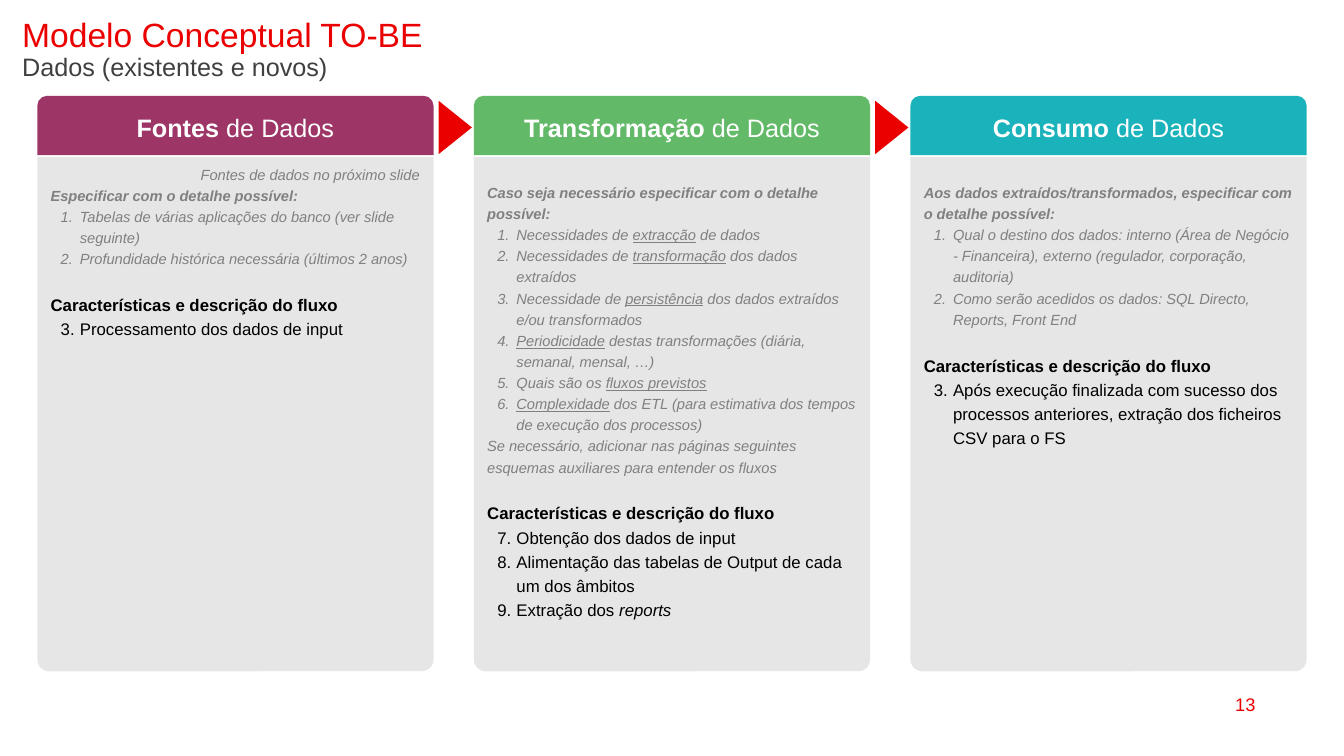
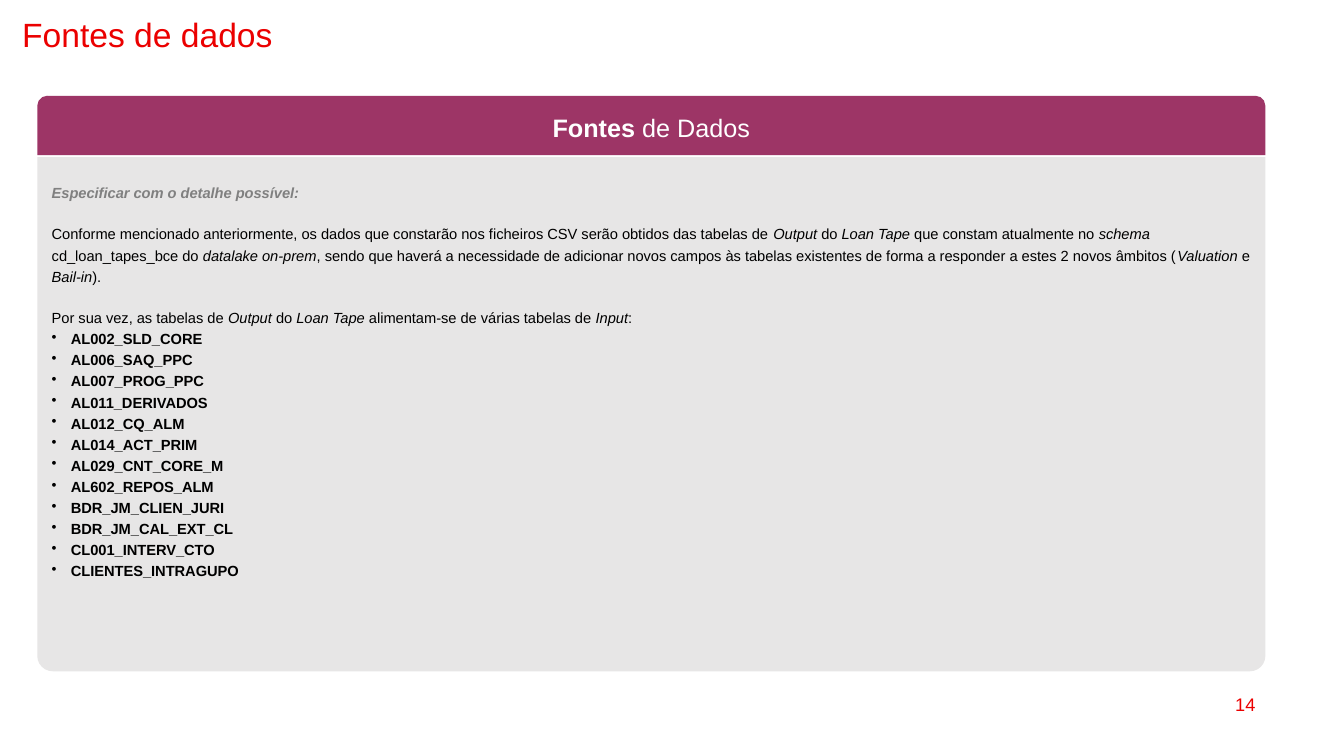
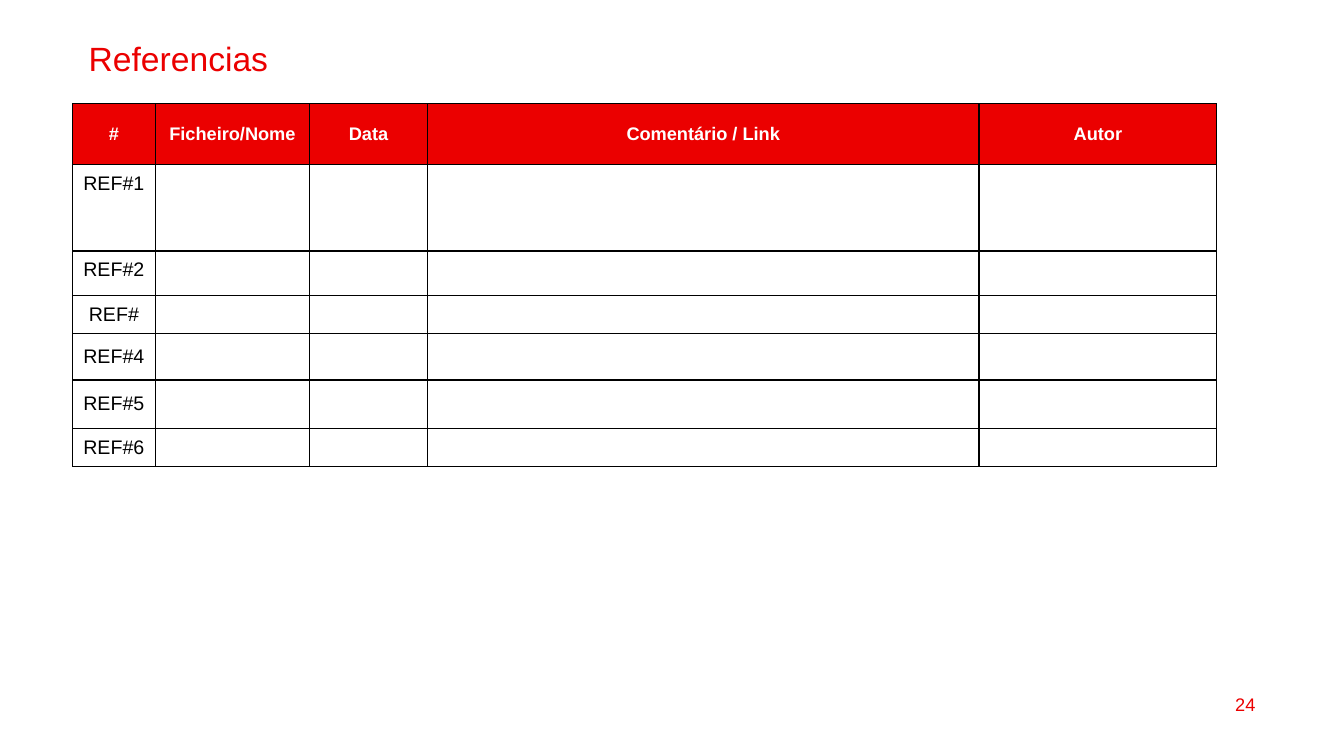
"""Builds three slides on data sources, data flow and references."""
from dataclasses import dataclass, field
from typing import Any, Optional, Sequence

from lxml import etree
from pptx import Presentation
from pptx.enum.shapes import MSO_SHAPE
from pptx.enum.text import MSO_ANCHOR, MSO_AUTO_SIZE, PP_ALIGN
from pptx.oxml.ns import qn
from pptx.util import Inches, Pt

from pptx.dml.color import RGBColor

PANEL_OUTLINE = MSO_SHAPE.ROUND_2_SAME_RECTANGLE
TRIANGLE = MSO_SHAPE.ISOSCELES_TRIANGLE
TOP, MIDDLE = MSO_ANCHOR.TOP, MSO_ANCHOR.MIDDLE
NO_AUTOFIT = MSO_AUTO_SIZE.NONE
LEFT, CENTER, RIGHT = PP_ALIGN.LEFT, PP_ALIGN.CENTER, PP_ALIGN.RIGHT

RED, BLACK, WHITE = "EB0000", "000000", "FFFFFF"
DARK_GREY, HINT_GREY, PANEL_GREY = "404040", "808080", "E7E6E6"
PLUM, GREEN, TEAL = "9D3566", "62B967", "1AB2BB"

TITLE_ONLY_LAYOUT = 5
PANEL_LEFT, HEADER_TOP, HEADER_HEIGHT = 0.37, 0.95, 0.59
BODY_TOP, BODY_HEIGHT = 1.56, 5.1
COLUMN_WIDTH, COLUMN_GAP, WIDE_WIDTH = 3.93, 0.4, 12.18
ARROW_BASE, ARROW_DEPTH = 0.53, 0.33
TOP_INSET, LOWERED_INSET = 0.05, 0.23
HANGING = 0.19
COLUMN_WIDTHS = (0.82, 1.53, 1.17, 5.47, 2.36)
TABLE_HEADINGS = ("#", "Ficheiro/Nome", "Data", "Comentário / Link", "Autor")


@dataclass(frozen=True)
class TextStyle:
    """Font values of plain text, and those that marked words change."""
    size: float
    color: str
    plain: dict[str, Any] = field(default_factory=dict)
    marked: dict[str, Any] = field(default_factory=dict)


@dataclass(frozen=True)
class ListMark:
    """A bullet or number with its indent."""
    indent: float
    tag: str
    values: dict[str, str]


@dataclass(frozen=True)
class Line:
    """A paragraph in which asterisks enclose marked words."""
    text: str
    style: TextStyle
    mark: Optional[ListMark] = None
    space_before: float = 0
    align: Any = LEFT


@dataclass(frozen=True)
class Panel:
    """A coloured heading above a grey body."""
    heading: str
    color: str
    lines: Sequence[Line]
    top_inset: float = LOWERED_INSET


@dataclass(frozen=True)
class TableRow:
    """The texts and layout of one table row."""
    texts: Sequence[str]
    height: float
    style: TextStyle
    anchor: Any = MIDDLE
    fill: str = ""


TITLE = TextStyle(24, RED)
SUBTITLE = TextStyle(18, DARK_GREY)
PAGE_NUMBER = TextStyle(13, RED)
HEADING = TextStyle(18, WHITE, {"bold": False}, {"bold": True})
HINT = TextStyle(10.5, HINT_GREY, {"italic": True}, {"underline": True})
HINT_LEAD = TextStyle(10.5, HINT_GREY, {"italic": True, "bold": True})
FLOW = TextStyle(12, BLACK, {}, {"italic": True})
FLOW_LEAD = TextStyle(12, BLACK, {"bold": True})
PROSE = TextStyle(10.5, BLACK, {}, {"italic": True})
TABLE_NAME = TextStyle(10.5, BLACK, {"bold": True})
COLUMN_NAME = TextStyle(13, WHITE, {"bold": True})
REFERENCE = TextStyle(14, BLACK, {"bold": False})
DOT = ListMark(HANGING, "a:buChar", {"char": "•"})


def numbered(texts: Sequence[str], style: TextStyle, start: int) -> list[Line]:
    """Return a numbered list that begins at start."""
    mark = ListMark(0.29, "a:buAutoNum", {"type": "arabicPeriod", "startAt": str(start)})
    return [Line(text, style, mark) for text in texts]


def flow(texts: Sequence[str], start: int) -> list[Line]:
    """Return the flow description that ends each column."""
    lead = Line("Características e descrição do fluxo", FLOW_LEAD, space_before=16.5)
    return [lead, *numbered(texts, FLOW, start)]


FLOW_PANELS = (
    Panel("*Fontes* de Dados", PLUM, [
        Line("Fontes de dados no próximo slide", HINT, align=RIGHT),
        Line("Especificar com o detalhe possível:", HINT_LEAD),
        *numbered([
            "Tabelas de várias aplicações do banco (ver slide seguinte)",
            "Profundidade histórica necessária (últimos 2 anos)",
        ], HINT, 1),
        *flow(["Processamento dos dados de input"], 3),
    ], TOP_INSET),
    Panel("*Transformação* de Dados", GREEN, [
        Line("Caso seja necessário especificar com o detalhe possível:", HINT_LEAD),
        *numbered([
            "Necessidades de *extracção* de dados",
            "Necessidades de *transformação* dos dados extraídos",
            "Necessidade de *persistência* dos dados extraídos e/ou transformados",
            "*Periodicidade* destas transformações (diária, semanal, mensal, …)",
            "Quais são os *fluxos previstos*",
            "*Complexidade* dos ETL (para estimativa dos tempos de execução dos processos)",
        ], HINT, 1),
        Line("Se necessário, adicionar nas páginas seguintes esquemas auxiliares "
             "para entender os fluxos", HINT),
        *flow([
            "Obtenção dos dados de input",
            "Alimentação das tabelas de Output de cada um dos âmbitos",
            "Extração dos *reports*",
        ], 7),
    ]),
    Panel("*Consumo* de Dados", TEAL, [
        Line("Aos dados extraídos/transformados, especificar com o detalhe possível:",
             HINT_LEAD),
        *numbered([
            "Qual o destino dos dados: interno (Área de Negócio - Financeira), "
            "externo (regulador, corporação, auditoria)",
            "Como serão acedidos os dados: SQL Directo, Reports, Front End",
        ], HINT, 1),
        *flow(["Após execução finalizada com sucesso dos processos anteriores, "
               "extração dos ficheiros CSV para o FS"], 3),
    ]),
)

INPUT_TABLES = (
    "AL002_SLD_CORE", "AL006_SAQ_PPC", "AL007_PROG_PPC", "AL011_DERIVADOS",
    "AL012_CQ_ALM", "AL014_ACT_PRIM", "AL029_CNT_CORE_M", "AL602_REPOS_ALM",
    "BDR_JM_CLIEN_JURI", "BDR_JM_CAL_EXT_CL", "CL001_INTERV_CTO", "CLIENTES_INTRAGUPO",
)

SOURCES_PANEL = Panel("*Fontes* de Dados", PLUM, [
    Line("Especificar com o detalhe possível:", HINT_LEAD),
    Line("Conforme mencionado anteriormente, os dados que constarão nos ficheiros CSV "
         "serão obtidos das tabelas de *Output* do *Loan Tape* que constam atualmente no "
         "*schema* cd_loan_tapes_bce do *datalake on-prem*, sendo que haverá a necessidade "
         "de adicionar novos campos às tabelas existentes de forma a responder a estes "
         "2 novos âmbitos (*Valuation* e *Bail-in*).", PROSE, space_before=14.5),
    Line("Por sua vez, as tabelas de *Output* do *Loan Tape* alimentam-se de várias "
         "tabelas de *Input*:", PROSE, space_before=14.5),
    *[Line(name, TABLE_NAME, DOT) for name in INPUT_TABLES],
])

REFERENCE_ROWS = (
    TableRow(TABLE_HEADINGS, 0.6, COLUMN_NAME, fill=RED),
    TableRow(("REF#1",), 0.86, REFERENCE, TOP),
    TableRow(("REF#2",), 0.44, REFERENCE, TOP),
    TableRow(("REF#",), 0.38, REFERENCE, TOP),
    TableRow(("REF#4",), 0.46, REFERENCE),
    TableRow(("REF#5",), 0.48, REFERENCE),
    TableRow(("REF#6",), 0.38, REFERENCE),
)


def tint(color_format: Any, color: str) -> None:
    """Give a font or fill colour its hex value."""
    color_format.rgb = RGBColor.from_string(color)


def set_all(target: Any, values: dict[str, Any]) -> None:
    """Set each named attribute of the target."""
    for name, value in values.items():
        setattr(target, name, value)


def box(left: float, top: float, width: float, height: float) -> tuple:
    """Return a position and size in inches."""
    return Inches(left), Inches(top), Inches(width), Inches(height)


def write(paragraph: Any, text: str, style: TextStyle) -> None:
    """Add text whose asterisks enclose marked words."""
    for position, piece in enumerate(text.split("*")):
        if piece:
            run = paragraph.add_run()
            run.text = piece
            values = {"name": "Arial", "size": Pt(style.size), **style.plain}
            if position % 2:
                values.update(style.marked)
            set_all(run.font, values)
            tint(run.font.color, style.color)


def write_lines(frame: Any, lines: Sequence[Line]) -> None:
    """Fill a frame with spaced paragraphs and list marks."""
    for position, line in enumerate(lines):
        paragraph = frame.add_paragraph() if position else frame.paragraphs[0]
        set_all(paragraph, {"alignment": line.align, "line_spacing": 1.2,
                            "space_before": Pt(line.space_before)})
        if line.mark:
            properties = paragraph._p.get_or_add_pPr()
            properties.set("marL", str(Inches(line.mark.indent)))
            properties.set("indent", str(-Inches(HANGING)))
            etree.SubElement(properties, qn(line.mark.tag), line.mark.values)
        write(paragraph, line.text, line.style)


def add_filled(slide: Any, outline: Any, place: tuple, color: str) -> Any:
    """Add a flat shape without a line."""
    shape = slide.shapes.add_shape(outline, *place)
    shape.shadow.inherit = False
    shape.fill.solid()
    tint(shape.fill.fore_color, color)
    shape.line.fill.background()
    return shape


def add_panel(slide: Any, panel: Panel, left: float, width: float) -> None:
    """Draw a panel's body and heading."""
    body = add_filled(slide, PANEL_OUTLINE, box(left, BODY_TOP, width, BODY_HEIGHT), PANEL_GREY)
    body.adjustments[0] = 0
    body.adjustments[1] = 0.03
    set_all(body.text_frame, {"word_wrap": True, "vertical_anchor": TOP,
                              "margin_top": Inches(panel.top_inset)})
    write_lines(body.text_frame, panel.lines)
    header = add_filled(slide, PANEL_OUTLINE, box(left, HEADER_TOP, width, HEADER_HEIGHT),
                        panel.color)
    set_all(header.text_frame, {"word_wrap": True, "vertical_anchor": MIDDLE})
    heading = header.text_frame.paragraphs[0]
    heading.alignment = CENTER
    write(heading, panel.heading, HEADING)


def add_arrow(slide: Any, column_right: float) -> None:
    """Point from one column heading to the next."""
    arrow = add_filled(slide, TRIANGLE,
                       box(column_right - 0.05, 1.1, ARROW_BASE, ARROW_DEPTH), RED)
    arrow.rotation = 90


def add_page(deck: Any, title: str, number: int, place: tuple, subtitle: str = "") -> Any:
    """Add a slide with its title and page number."""
    slide = deck.slides.add_slide(deck.slide_layouts[TITLE_ONLY_LAYOUT])
    heading = slide.shapes.title
    set_all(heading, dict(zip(("left", "top", "width", "height"), place)))
    set_all(heading.text_frame, {"word_wrap": True, "auto_size": NO_AUTOFIT,
                                 "vertical_anchor": TOP})
    paragraph = heading.text_frame.paragraphs[0]
    set_all(paragraph, {"alignment": LEFT, "line_spacing": 0.9})
    write(paragraph, title, TITLE)
    if subtitle:
        paragraph.add_line_break()
        write(paragraph, subtitle, SUBTITLE)
    footer = slide.shapes.add_textbox(*box(9.55, 6.79, 3, 0.4)).text_frame
    set_all(footer, {"word_wrap": True, "vertical_anchor": MIDDLE})
    footer.paragraphs[0].alignment = RIGHT
    write(footer.paragraphs[0], str(number), PAGE_NUMBER)
    return slide


def format_cell(cell: Any, row: TableRow) -> None:
    """Give a cell its margins, borders and fill."""
    top, bottom = (0.08, 0) if row.anchor == TOP else (0.04, 0.04)
    set_all(cell, {"margin_left": Inches(0.08), "margin_right": Inches(0.08),
                   "margin_top": Inches(top), "margin_bottom": Inches(bottom),
                   "vertical_anchor": row.anchor})
    properties = cell._tc.get_or_add_tcPr()
    for side in ("a:lnL", "a:lnR", "a:lnT", "a:lnB"):
        border = etree.SubElement(properties, qn(side), {"w": str(Pt(1))})
        solid = etree.SubElement(border, qn("a:solidFill"))
        etree.SubElement(solid, qn("a:srgbClr"), {"val": BLACK})
    if row.fill:
        cell.fill.solid()
        tint(cell.fill.fore_color, row.fill)
    else:
        cell.fill.background()


def add_references(slide: Any, rows: Sequence[TableRow]) -> None:
    """Draw the bordered table of references."""
    place = box(0.72, 1.03, sum(COLUMN_WIDTHS), sum(row.height for row in rows))
    table = slide.shapes.add_table(len(rows), len(COLUMN_WIDTHS), *place).table
    table.horz_banding = False
    for column, width in zip(table.columns, COLUMN_WIDTHS):
        column.width = Inches(width)
    for table_row, row in zip(table.rows, rows):
        table_row.height = Inches(row.height)
        for cell in table_row.cells:
            format_cell(cell, row)
        for cell, text in zip(table_row.cells, row.texts):
            paragraph = cell.text_frame.paragraphs[0]
            paragraph.alignment = CENTER
            write(paragraph, text, row.style)


def main() -> None:
    """Build and save the slides."""
    deck = Presentation()
    set_all(deck, {"slide_width": Inches(13.33), "slide_height": Inches(7.5)})
    title_place = box(0.12, 0.13, 6.76, 0.59)

    concept = add_page(deck, "Modelo Conceptual TO-BE", 13, title_place,
                       "Dados (existentes e novos)")
    for position, panel in enumerate(FLOW_PANELS):
        left = PANEL_LEFT + position * (COLUMN_WIDTH + COLUMN_GAP)
        add_panel(concept, panel, left, COLUMN_WIDTH)
        if position < len(FLOW_PANELS) - 1:
            add_arrow(concept, left + COLUMN_WIDTH)

    sources = add_page(deck, "Fontes de dados", 14, title_place)
    add_panel(sources, SOURCES_PANEL, PANEL_LEFT, WIDE_WIDTH)

    references = add_page(deck, "Referencias", 24, box(0.78, 0.37, 11.77, 0.33))
    add_references(references, REFERENCE_ROWS)
    deck.save("out.pptx")


if __name__ == "__main__":
    main()
